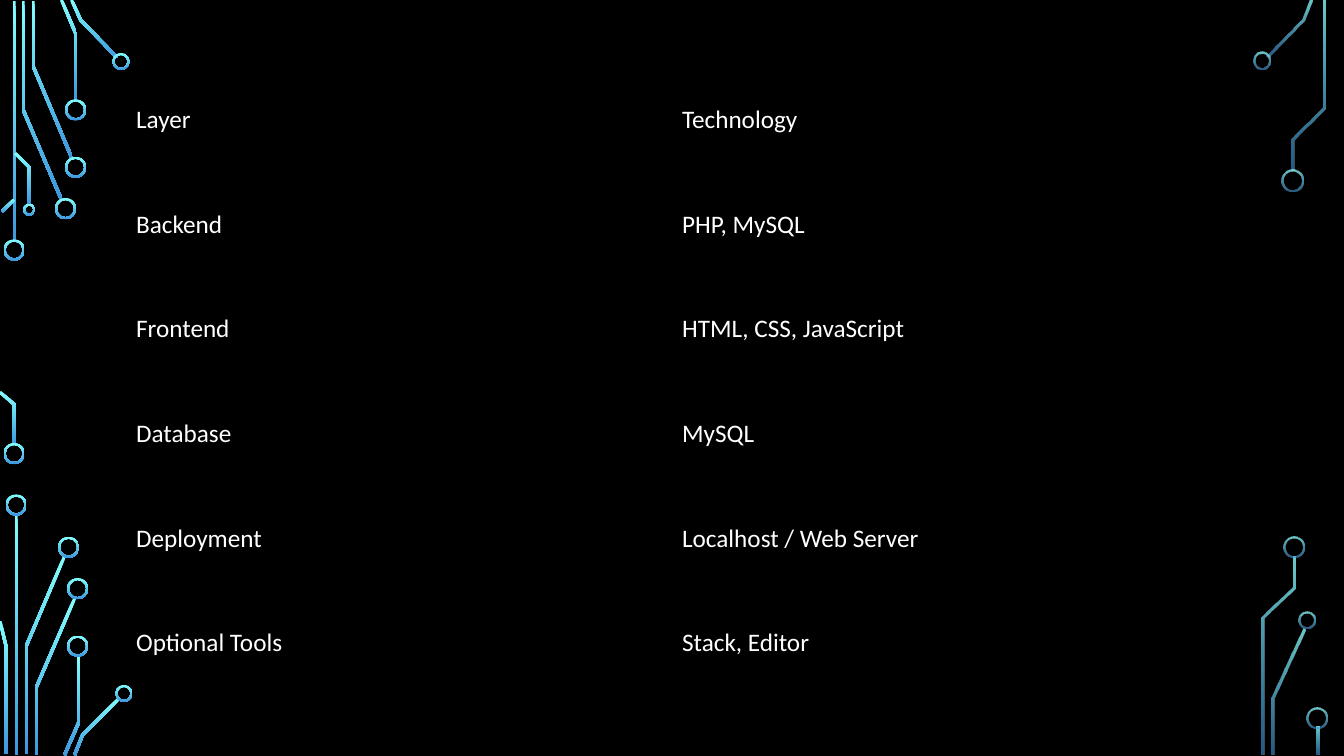
import dataclasses
import math

import lxml.etree
import pptx
import pptx.dml.color
import pptx.enum.shapes
import pptx.enum.text
import pptx.oxml.ns
import pptx.util
from pptx.util import Inches


@dataclasses.dataclass(frozen=True)
class Theme:
    background: str = "000000"
    text: str = "FFFFFF"
    glow: tuple = ("82FFFF", "3D97DE")
    font: str = "Calibri"
    body_size: int = 18
    trace_width: float = 0.03
    ring_width: float = 0.02
    ring_size: float = 0.21


THEME = Theme()
SLIDE_WIDTH, SLIDE_HEIGHT = 13.33, 7.5
NO_GRID_STYLE = "{2D5ABB26-0587-4C30-8999-92F81FD0307C}"

# Circuit centre lines, and rings as (centre x, centre y[, diameter]).
LEFT_TRACES = [
    [(0.14, 0.01), (0.14, 2.4)],
    [(0.61, 1.98), (0.23, 1.09), (0.23, 0.01)],
    [(0.71, 1.56), (0.33, 0.66), (0.33, 0.01)],
    [(0.75, 1), (0.75, 0.33), (0.61, 0)],
    [(1.16, 0.57), (0.8, 0.2), (0.71, 0)],
    [(0.02, 2.1), (0.14, 1.98)],
    [(0.14, 4.41), (0.14, 4.01), (0, 3.89)],
    [(0.29, 2.03), (0.29, 1.66), (0.15, 1.52)],
    [(0.16, 5.1), (0.16, 7.49)],
    [(0.26, 7.48), (0.26, 6.41), (0.64, 5.52)],
    [(0.06, 7.48), (0.06, 6.41), (0, 6.16)],
    [(0.36, 7.49), (0.36, 6.82), (0.74, 5.94)],
    [(0.64, 7.49), (0.78, 7.17), (0.78, 6.5)],
    [(0.74, 7.49), (0.82, 7.29), (1.18, 6.93)],
]
LEFT_RINGS = [
    (0.14, 2.48), (0.14, 4.5), (0.65, 2.07), (0.75, 1.66), (0.75, 1.09),
    (1.2, 0.61, 0.17), (0.29, 2.08, 0.12), (0.16, 5.01), (0.68, 5.43),
    (0.77, 5.84), (0.77, 6.41), (1.23, 6.88, 0.17),
]
RIGHT_TRACES = [
    [(0.17, 0.56), (0.52, 0.2), (0.6, 0)],
    [(0.23, 7.49), (0.23, 6.93), (0.53, 6.24)],
    [(0.42, 1.69), (0.42, 1.38), (0.73, 1.07), (0.73, 0.01)],
    [(0.13, 7.49), (0.13, 6.13), (0.43, 5.83), (0.43, 5.52)],
    [(0.67, 7.21), (0.67, 7.49)],
]
RIGHT_RINGS = [
    (0.12, 0.6, 0.17), (0.42, 1.79), (0.56, 6.15, 0.17), (0.43, 5.43), (0.66, 7.12),
]

STACK = [
    ("Layer", "Technology"),
    ("Backend", "PHP, MySQL"),
    ("Frontend", "HTML, CSS, JavaScript"),
    ("Database", "MySQL"),
    ("Deployment", "Localhost / Web Server"),
    ("Optional Tools", "Stack, Editor"),
]


def rgb(value):
    return pptx.dml.color.RGBColor.from_string(value)


def write(frame, text, size=THEME.body_size, color=THEME.text, bold=False):
    run = frame.paragraphs[0].add_run()
    run.text = text
    run.font.name = THEME.font
    run.font.size = pptx.util.Pt(size)
    run.font.bold = bold
    run.font.color.rgb = rgb(color)


def glow(shape, opacity):
    """Fill from light at the top to dark at the bottom; opacity is in percent per stop."""
    shape.shadow.inherit = False
    shape.line.fill.background()
    shape.fill.gradient()
    shape.fill.gradient_angle = 270
    for stop, position, color in zip(shape.fill.gradient_stops, (0, 1), THEME.glow):
        stop.position = position
        stop.color.rgb = rgb(color)
    colors = shape.element.spPr.iter(pptx.oxml.ns.qn("a:srgbClr"))
    for color, percent in zip(list(colors), opacity):
        if percent < 100:
            alpha = lxml.etree.SubElement(color, pptx.oxml.ns.qn("a:alpha"))
            alpha.set("val", str(percent * 1000))


def ribbon(line, width):
    """Return the outline of a centre line drawn with mitred corners."""
    normals = []
    for (x1, y1), (x2, y2) in zip(line, line[1:]):
        length = math.hypot(x2 - x1, y2 - y1)
        normals.append(((y1 - y2) / length, (x2 - x1) / length))
    one_side, other_side = [], []
    for (x, y), (ax, ay), (bx, by) in zip(line, normals[:1] + normals, normals + normals[-1:]):
        reach = width / 2 / (1 + ax * bx + ay * by)
        dx, dy = (ax + bx) * reach, (ay + by) * reach
        one_side.append((x + dx, y + dy))
        other_side.append((x - dx, y - dy))
    return one_side + other_side[::-1]


def add_circuit(slide, left, top, traces, rings, opacity=(100, 100)):
    circuit = slide.shapes.add_group_shape().shapes
    for line in traces:
        outline = [(Inches(left + x), Inches(top + y))
                   for x, y in ribbon(line, THEME.trace_width)]
        builder = circuit.build_freeform(*outline[0])
        builder.add_line_segments(outline[1:], close=True)
        glow(builder.convert_to_shape(), opacity)
    for x, y, *custom_size in rings:
        size = custom_size[0] if custom_size else THEME.ring_size
        ring = circuit.add_shape(
            pptx.enum.shapes.MSO_SHAPE.DONUT,
            Inches(left + x - size / 2), Inches(top + y - size / 2),
            Inches(size), Inches(size))
        ring.adjustments[0] = THEME.ring_width / size
        glow(ring, opacity)


def add_stack_table(slide, left, top, width, height):
    frame = slide.shapes.add_table(
        len(STACK), len(STACK[0]),
        Inches(left), Inches(top), Inches(width), Inches(height))
    stack = frame.table
    stack.horz_banding = False
    style = next(frame.element.iter(pptx.oxml.ns.qn("a:tableStyleId")))
    style.text = NO_GRID_STYLE
    for row, labels in enumerate(STACK):
        for column, label in enumerate(labels):
            cell = stack.cell(row, column)
            cell.fill.background()
            cell.vertical_anchor = pptx.enum.text.MSO_ANCHOR.MIDDLE
            write(cell.text_frame, label)


def main():
    deck = pptx.Presentation()
    deck.slide_width, deck.slide_height = Inches(SLIDE_WIDTH), Inches(SLIDE_HEIGHT)
    slide = deck.slides.add_slide(deck.slide_layouts[6])
    slide.background.fill.solid()
    slide.background.fill.fore_color.rgb = rgb(THEME.background)
    add_circuit(slide, 0, 0, LEFT_TRACES, LEFT_RINGS)
    add_circuit(slide, 12.4, 0, RIGHT_TRACES, RIGHT_RINGS, opacity=(80, 60))
    add_stack_table(slide, 1.25, 0.67, 10.83, 6.23)
    deck.save("out.pptx")


if __name__ == "__main__":
    main()
